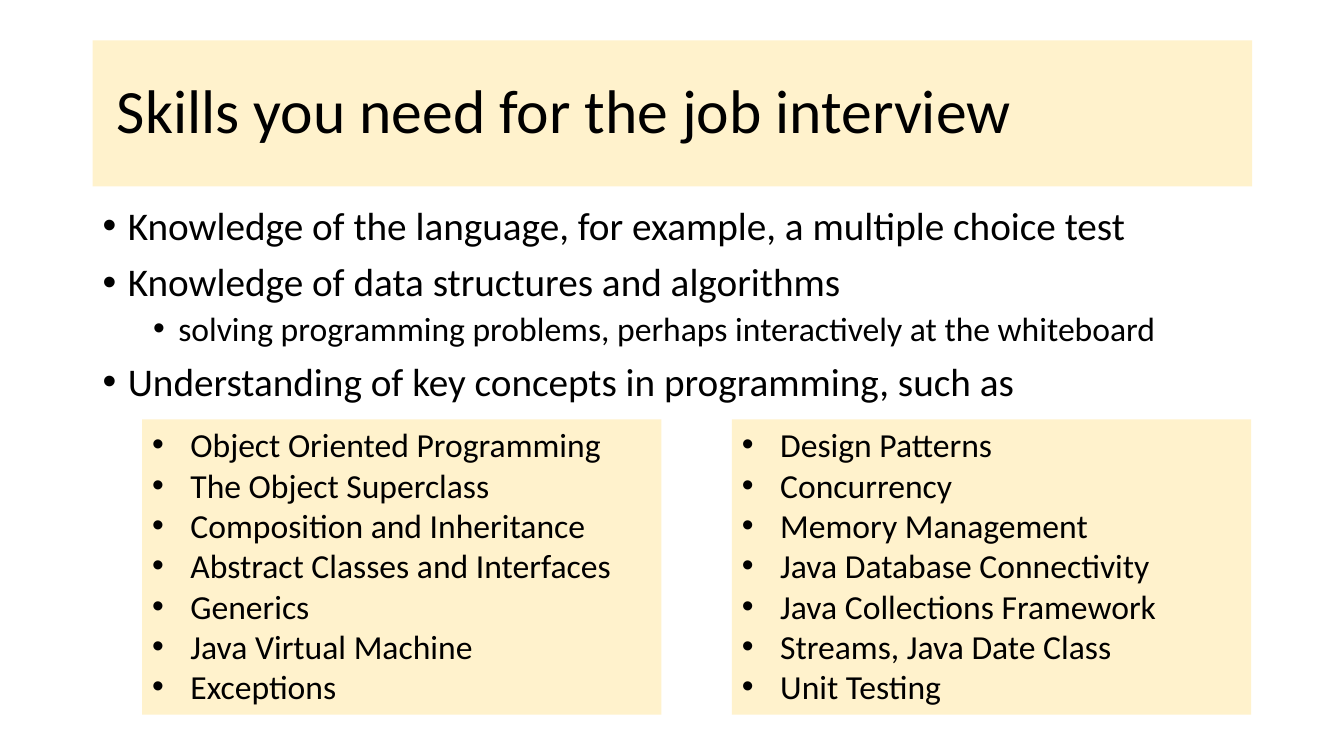
import dataclasses

import pptx
import pptx.dml.color
import pptx.enum.text
import pptx.oxml.ns
import pptx.util
from lxml import etree

Inches, Pt = pptx.util.Inches, pptx.util.Pt


@dataclasses.dataclass(frozen=True)
class Theme:
    font: str = "Calibri"
    ink: str = "000000"
    panel: str = "FFF2CC"
    title: int = 44
    body: int = 28
    detail: int = 24


THEME = Theme()

# Page grid, in inches
WIDTH, HEIGHT = 13.33, 7.5
LEFT, CONTENT = 0.92, 11.5
TOPICS_LEFT, TOPICS_TOP = 1.41, 4.16
TOPIC_WIDTH, TOPIC_HEIGHT, TOPIC_GAP = 5.15, 2.93, 0.7

SKILLS = [
    (0, "Knowledge of the language, for example, a multiple choice test"),
    (0, "Knowledge of data structures and algorithms"),
    (1, "solving programming problems, perhaps interactively at the whiteboard"),
    (0, "Understanding of key concepts in programming, such as"),
]
TOPICS = [
    ["Object Oriented Programming", "The Object Superclass",
     "Composition and Inheritance", "Abstract Classes and Interfaces",
     "Generics", "Java Virtual Machine", "Exceptions"],
    ["Design Patterns", "Concurrency", "Memory Management",
     "Java Database Connectivity", "Java Collections Framework",
     "Streams, Java Date Class", "Unit Testing"],
]


def add_box(s, left, top, width, height, fill=None):
    """Add a wrapping text box, filled if a colour is given."""
    sp = s.shapes.add_textbox(*map(Inches, (left, top, width, height)))
    if fill:
        sp.fill.solid()
        sp.fill.fore_color.rgb = pptx.dml.color.RGBColor.from_string(fill)
    tf = sp.text_frame
    tf.word_wrap = True
    return tf


def add_line(tf, text, size, spacing=1.0, before=0):
    """Write one paragraph, using the empty first one if it is free."""
    p = tf.paragraphs[0]
    if p.runs:
        p = tf.add_paragraph()
    p.line_spacing = spacing
    p.space_before = Pt(before)
    r = p.add_run()
    r.text = text
    r.font.name = THEME.font
    r.font.size = Pt(size)
    r.font.color.rgb = pptx.dml.color.RGBColor.from_string(THEME.ink)
    return p


def add_bullet(p, margin, hang):
    """Give a paragraph a round bullet with a hanging indent."""
    pPr = p._p.get_or_add_pPr()
    pPr.set("marL", str(Inches(margin)))
    pPr.set("indent", str(-Inches(hang)))
    qn = pptx.oxml.ns.qn
    etree.SubElement(pPr, qn("a:buFont"), typeface="Arial")
    etree.SubElement(pPr, qn("a:buChar"), char="\u2022")


def add_title(s, text):
    tf = add_box(s, LEFT, 0.4, CONTENT, 1.45, THEME.panel)
    tf.vertical_anchor = pptx.enum.text.MSO_ANCHOR.MIDDLE
    tf.margin_left = Inches(0.24)
    add_line(tf, text, THEME.title, spacing=0.9)


def add_skills(s, skills):
    tf = add_box(s, LEFT, 2, CONTENT, 2.09)
    for level, text in skills:
        size, before = ((THEME.body, 10), (THEME.detail, 5))[level]
        p = add_line(tf, text, size, 0.9, before)
        p.level = level
        add_bullet(p, 0.25 + 0.5 * level, 0.25)


def add_topics(s, column, topics):
    left = TOPICS_LEFT + column * (TOPIC_WIDTH + TOPIC_GAP)
    tf = add_box(s, left, TOPICS_TOP, TOPIC_WIDTH, TOPIC_HEIGHT, THEME.panel)
    tf.auto_size = pptx.enum.text.MSO_AUTO_SIZE.SHAPE_TO_FIT_TEXT
    for topic in topics:
        add_bullet(add_line(tf, topic, THEME.detail), 0.38, 0.38)


def main():
    prs = pptx.Presentation()
    prs.slide_width, prs.slide_height = Inches(WIDTH), Inches(HEIGHT)
    s = prs.slides.add_slide(prs.slide_layouts[6])

    # Heading and main points
    add_title(s, "Skills you need for the job interview")
    add_skills(s, SKILLS)

    # Key concepts in two columns
    for column, topics in enumerate(TOPICS):
        add_topics(s, column, topics)

    prs.save("out.pptx")


main()
